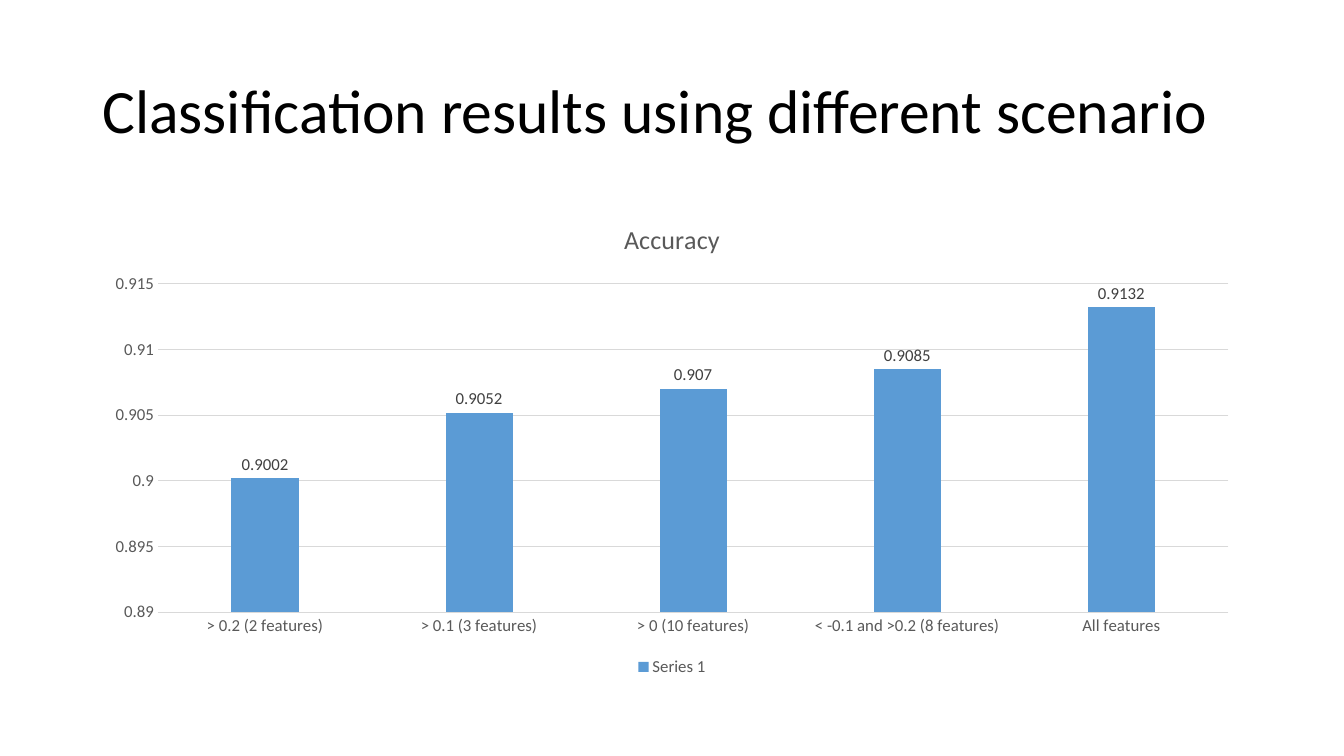
import pptx
import pptx.util
import pptx.chart.data
import pptx.dml.color
import pptx.enum.chart
import pptx.enum.text

Cm, Pt = pptx.util.Cm, pptx.util.Pt

TITLE = "Classification results using different scenario"
HEAD = "Accuracy"
SERIES = "Series 1"
SCORES = {
    "> 0.2 (2 features)": 0.9002,
    "> 0.1 (3 features)": 0.9052,
    "> 0 (10 features)": 0.907,
    "< -0.1 and >0.2 (8 features)": 0.9085,
    "All features": 0.9132,
}
COLORS = {"title": "000000", "text": "595959", "label": "404040",
          "line": "D9D9D9", "bar": "5B9BD5"}
FACE = "Calibri"
WIDE, HIGH = 33.87, 19.05
LEFT = 2.33
SPAN = WIDE - 2 * LEFT


def color(name):
    return pptx.dml.color.RGBColor.from_string(COLORS[name])


def style(font, size, name):
    font.name, font.size, font.bold = FACE, Pt(size), False
    font.color.rgb = color(name)


def rule(line):
    line.width = Pt(0.75)
    line.color.rgb = color("line")


def add_title(slide):
    box = slide.shapes.add_textbox(Cm(LEFT), Cm(1.01), Cm(SPAN), Cm(3.68))
    frame = box.text_frame
    frame.word_wrap = True
    frame.vertical_anchor = pptx.enum.text.MSO_ANCHOR.MIDDLE
    para = frame.paragraphs[0]
    para.text = TITLE
    para.line_spacing = 0.9
    style(para.font, 44, "title")


def add_bars(slide):
    kinds = pptx.enum.chart
    data = pptx.chart.data.CategoryChartData(number_format="General")
    data.categories = list(SCORES)
    data.add_series(SERIES, list(SCORES.values()))
    chart = slide.shapes.add_chart(
        kinds.XL_CHART_TYPE.COLUMN_CLUSTERED,
        Cm(LEFT), Cm(5.07), Cm(SPAN), Cm(12.09), data).chart
    style(chart.font, 12, "text")

    chart.has_title = True
    para = chart.chart_title.text_frame.paragraphs[0]
    para.text = HEAD
    style(para.font, 18.6, "text")
    chart.chart_title.include_in_layout = False

    chart.has_legend = True
    chart.legend.position = kinds.XL_LEGEND_POSITION.BOTTOM
    chart.legend.include_in_layout = False
    style(chart.legend.font, 12, "text")

    cats, vals = chart.category_axis, chart.value_axis
    for axis in (cats, vals):
        axis.major_tick_mark = kinds.XL_TICK_MARK.NONE
        axis.minor_tick_mark = kinds.XL_TICK_MARK.NONE
        style(axis.tick_labels.font, 12, "text")
    rule(cats.format.line)
    vals.format.line.fill.background()
    vals.has_major_gridlines = True
    rule(vals.major_gridlines.format.line)
    vals.minimum_scale, vals.maximum_scale = 0.89, 0.915
    vals.major_unit = 0.005

    plot = chart.plots[0]
    plot.gap_width, plot.overlap = 219, -27
    plot.vary_by_categories = False
    bars = plot.series[0]
    bars.invert_if_negative = False
    bars.format.fill.solid()
    bars.format.fill.fore_color.rgb = color("bar")
    labels = bars.data_labels
    labels.show_value = True
    labels.position = kinds.XL_LABEL_POSITION.OUTSIDE_END
    style(labels.font, 12, "label")


def main():
    deck = pptx.Presentation()
    deck.slide_width, deck.slide_height = Cm(WIDE), Cm(HIGH)
    slide = deck.slides.add_slide(deck.slide_layouts[6])
    add_title(slide)
    add_bars(slide)
    deck.save("out.pptx")


if __name__ == "__main__":
    main()
